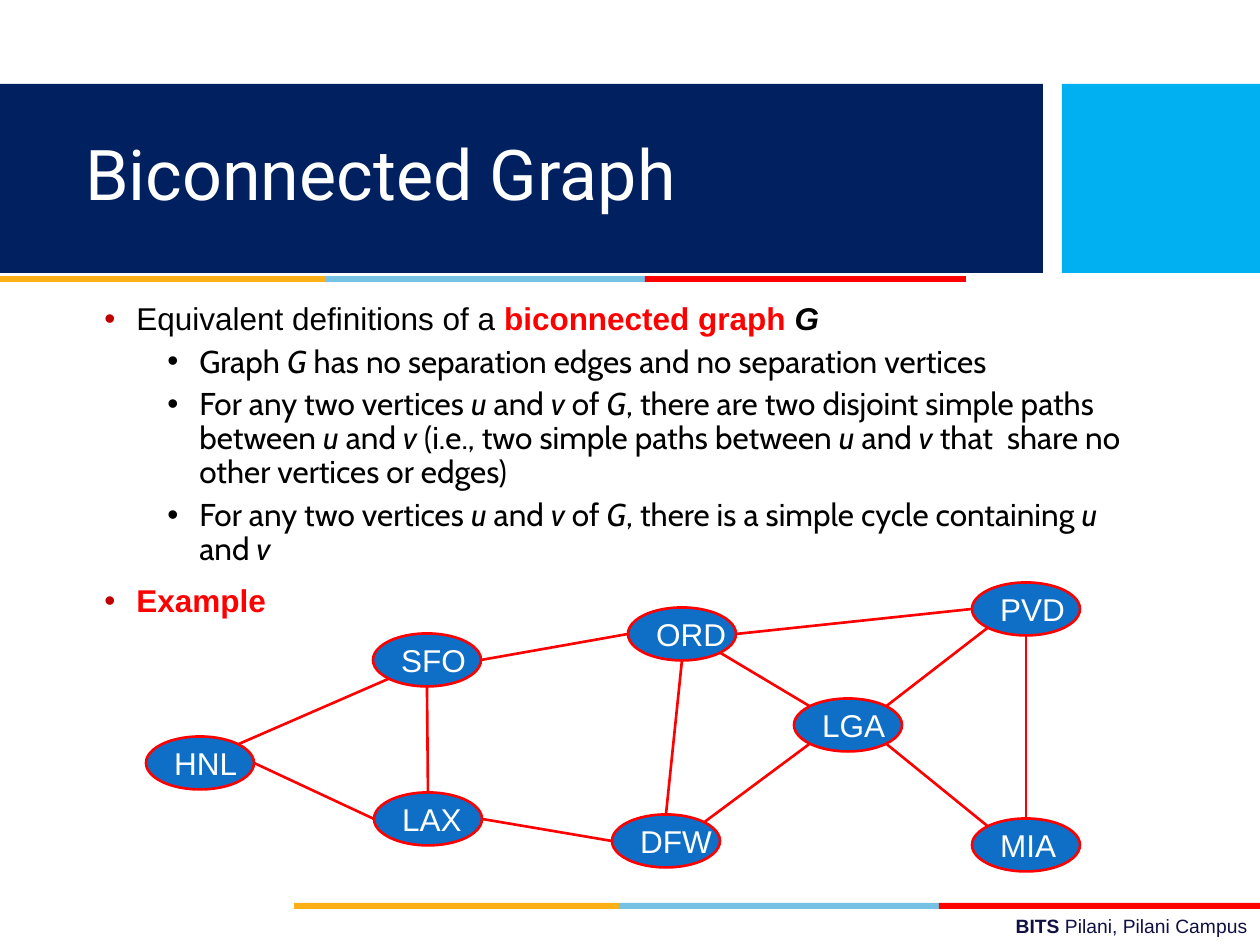
from lxml import etree
from pptx import Presentation
from pptx.dml.color import RGBColor
from pptx.enum.shapes import MSO_CONNECTOR, MSO_SHAPE
from pptx.enum.text import MSO_ANCHOR, PP_ALIGN
from pptx.oxml.ns import qn
from pptx.util import Pt

PX = 914400 // 126
NAVY, CYAN = RGBColor(0x00, 0x20, 0x60), RGBColor(0x00, 0xB0, 0xF0)
AMBER, SKY = RGBColor(0xFC, 0xB0, 0x17), RGBColor(0x76, 0xC2, 0xE5)
RED, BLUE = RGBColor(0xFF, 0x00, 0x00), RGBColor(0x0F, 0x6F, 0xC6)
INK, DARK_RED = RGBColor(0x10, 0x11, 0x41), RGBColor(0xC0, 0x00, 0x00)
WHITE, BLACK = RGBColor(0xFF, 0xFF, 0xFF), RGBColor(0x00, 0x00, 0x00)

TITLE = "Biconnected Graph"
FOOTER = [("BITS ", {"bold": True}), ("Pilani, Pilani Campus", {})]
HEADER_BLOCKS = [((0, 84, 1043, 189), NAVY), ((1062, 84, 198, 189), CYAN)]
STRIPE = [(325, AMBER), (320, SKY), (321, RED)]
STRIPE_STARTS = [(0, 276), (294, 903)]

HEAD = {"name": "Arial", "size": Pt(18), "color": BLACK}
SUB = {"name": "Cabin", "size": Pt(18), "color": BLACK}
KEY = {"color": RED, "bold": True}


def mark_italics(text):
    """Split text into runs; the parts between asterisks are italic."""
    return [(part, {"italic": i % 2 == 1})
            for i, part in enumerate(text.split("*")) if part]


BODY = [
    (0, [("Equivalent definitions of a ", {}), ("biconnected graph ", KEY),
         ("G", {"bold": True, "italic": True})]),
    (1, mark_italics("Graph *G *has no separation edges and no separation vertices")),
    (1, mark_italics("For any two vertices *u *and *v *of *G*, there are two disjoint "
                     "simple paths between *u *and *v* (i.e., two simple paths between "
                     "*u *and *v* that  share no other vertices or edges)")),
    (1, mark_italics("For any two vertices *u *and *v *of *G*, there is a simple cycle "
                     "containing *u *and *v*")),
    (0, [("Example", KEY)]),
]
# level: indent in px, space before, bullet colour, text format
LEVELS = {0: (32, Pt(10), DARK_RED, HEAD), 1: (95, Pt(5), BLACK, SUB)}
HANGING = 32

NODE_W, NODE_H = 108, 53
AIRPORTS = {  # centre of each node
    "ORD": (682, 634), "PVD": (1026, 609), "MIA": (1026, 845), "DFW": (666, 841),
    "SFO": (427, 660), "LAX": (428, 819), "LGA": (848, 725), "HNL": (200, 763),
}
ROUTES = [  # airport and side at each end
    ("DFW", "N", "ORD", "S"), ("DFW", "NE", "LGA", "SW"),
    ("LGA", "NE", "PVD", "SW"), ("HNL", "E", "LAX", "W"),
    ("SFO", "S", "LAX", "N"), ("LGA", "SE", "MIA", "NW"),
    ("LGA", "NW", "ORD", "SE"), ("LAX", "E", "DFW", "W"),
    ("HNL", "NE", "SFO", "SW"), ("MIA", "N", "PVD", "S"),
    ("SFO", "E", "ORD", "W"), ("ORD", "E", "PVD", "W"),
]


def emu(*lengths):
    return [round(n * PX) for n in lengths]


def add_runs(p, runs, base):
    for text, extra in runs:
        r = p.add_run()
        r.text = text
        for key, value in {**base, **extra}.items():
            if key == "color":
                r.font.color.rgb = value
            else:
                setattr(r.font, key, value)


def add_filled(shapes, kind, box, color):
    sp = shapes.add_shape(kind, *emu(*box))
    sp.shadow.inherit = False
    sp.fill.solid()
    sp.fill.fore_color.rgb = color
    sp.line.fill.background()
    return sp


def add_text_frame(shapes, box, anchor=MSO_ANCHOR.TOP):
    tf = shapes.add_textbox(*emu(*box)).text_frame
    tf.word_wrap = True
    tf.vertical_anchor = anchor
    return tf


def set_bullet(p, indent, color):
    pPr = p._p.get_or_add_pPr()
    pPr.set("marL", str(indent * PX))
    pPr.set("indent", str(-HANGING * PX))
    clr = etree.SubElement(pPr, qn("a:buClr"))
    etree.SubElement(clr, qn("a:srgbClr"), val=str(color))
    etree.SubElement(pPr, qn("a:buFont"), typeface="Arial")
    etree.SubElement(pPr, qn("a:buChar"), char="•")


def add_body(shapes):
    tf = add_text_frame(shapes, (92, 297, 1071, 378))
    for i, (level, runs) in enumerate(BODY):
        p = tf.paragraphs[0] if i == 0 else tf.add_paragraph()
        indent, space, bullet_color, base = LEVELS[level]
        p.level = level
        p.line_spacing = 0.9
        p.space_before = space if i else Pt(0)
        set_bullet(p, indent, bullet_color)
        add_runs(p, runs, base)


def add_airport(shapes, code, x, y):
    box = (x - NODE_W / 2, y - NODE_H / 2, NODE_W, NODE_H)
    sp = add_filled(shapes, MSO_SHAPE.OVAL, box, BLUE)
    sp.line.color.rgb = RED
    sp.line.width = Pt(1.5)
    tf = sp.text_frame
    tf.word_wrap = False
    tf.vertical_anchor = MSO_ANCHOR.MIDDLE
    p = tf.paragraphs[0]
    p.alignment = PP_ALIGN.LEFT
    add_runs(p, [(code, {})], {**HEAD, "color": WHITE})


def rim_point(code, side):
    """Point on a node's ellipse at a compass side."""
    x, y = AIRPORTS[code]
    reach = 0.5 ** 0.5 if len(side) == 2 else 1
    dx = ("E" in side) - ("W" in side)
    dy = ("S" in side) - ("N" in side)
    return x + dx * reach * NODE_W / 2, y + dy * reach * NODE_H / 2


def add_route(shapes, start, start_side, end, end_side):
    ends = emu(*rim_point(start, start_side), *rim_point(end, end_side))
    line = shapes.add_connector(MSO_CONNECTOR.STRAIGHT, *ends)
    line.line.color.rgb = RED
    line.line.width = Pt(1.5)
    etree.SubElement(line._element.spPr, qn("a:effectLst"))


def main():
    prs = Presentation()
    prs.slide_width, prs.slide_height = emu(1260, 945)
    shapes = prs.slides.add_slide(prs.slide_layouts[6]).shapes

    for box, color in HEADER_BLOCKS:
        add_filled(shapes, MSO_SHAPE.RECTANGLE, box, color)
    for x, y in STRIPE_STARTS:
        for width, color in STRIPE:
            add_filled(shapes, MSO_SHAPE.RECTANGLE, (x, y, width, 6), color)
            x += width

    p = add_text_frame(shapes, (451, 908, 809, 37)).paragraphs[0]
    p.alignment = PP_ALIGN.RIGHT
    add_runs(p, FOOTER, {"name": "Arial", "size": Pt(11), "color": INK})

    p = add_text_frame(shapes, (73, 103, 950, 149), MSO_ANCHOR.MIDDLE).paragraphs[0]
    p.line_spacing = 0.9
    add_runs(p, [(TITLE, {})], {"name": "Roboto", "size": Pt(40), "color": WHITE})

    add_body(shapes)
    for code, (x, y) in AIRPORTS.items():
        add_airport(shapes, code, x, y)
    for route in ROUTES:
        add_route(shapes, *route)
    prs.save("out.pptx")


if __name__ == "__main__":
    main()
